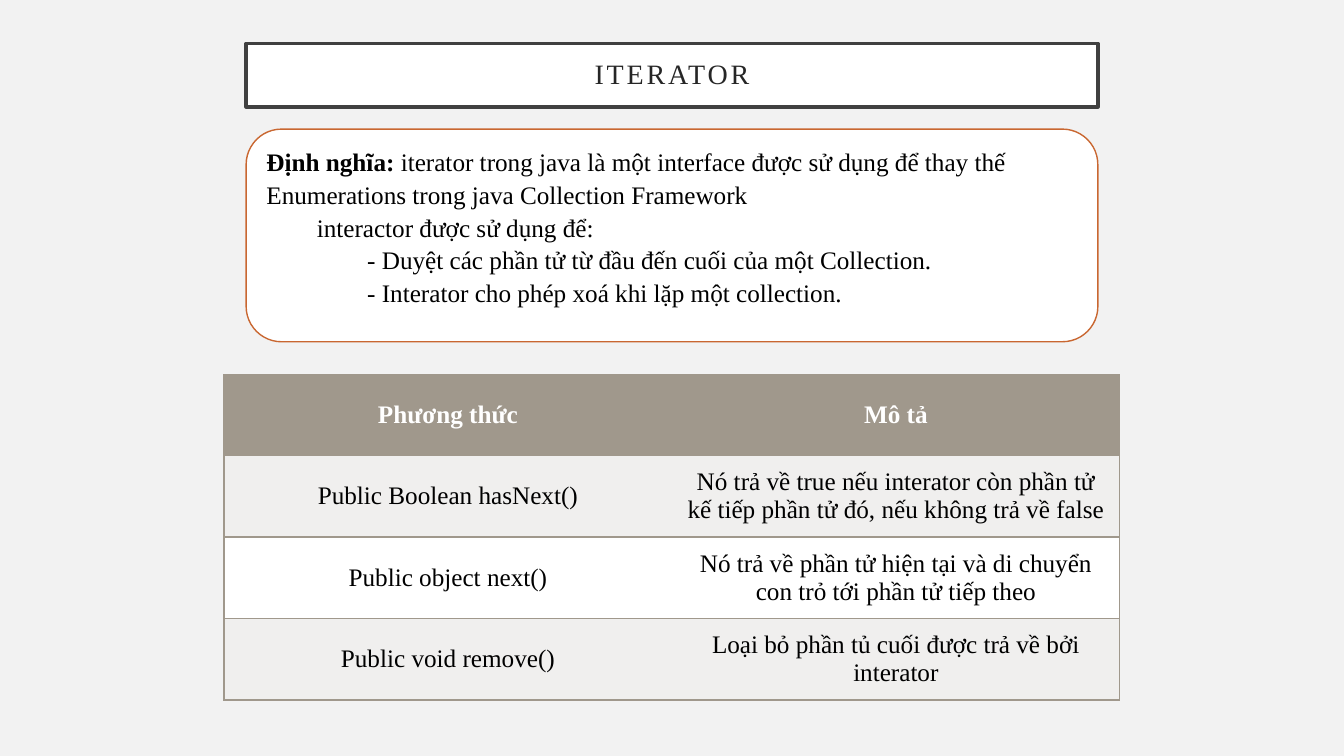
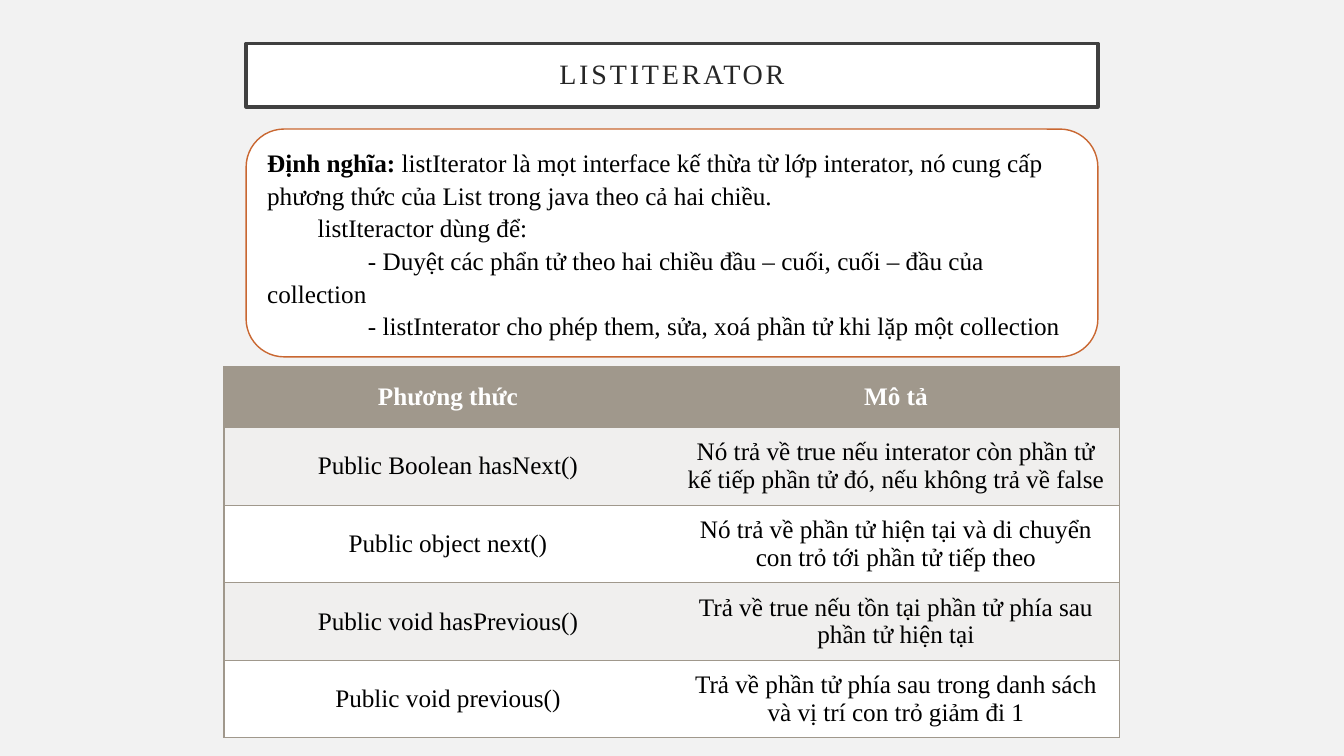
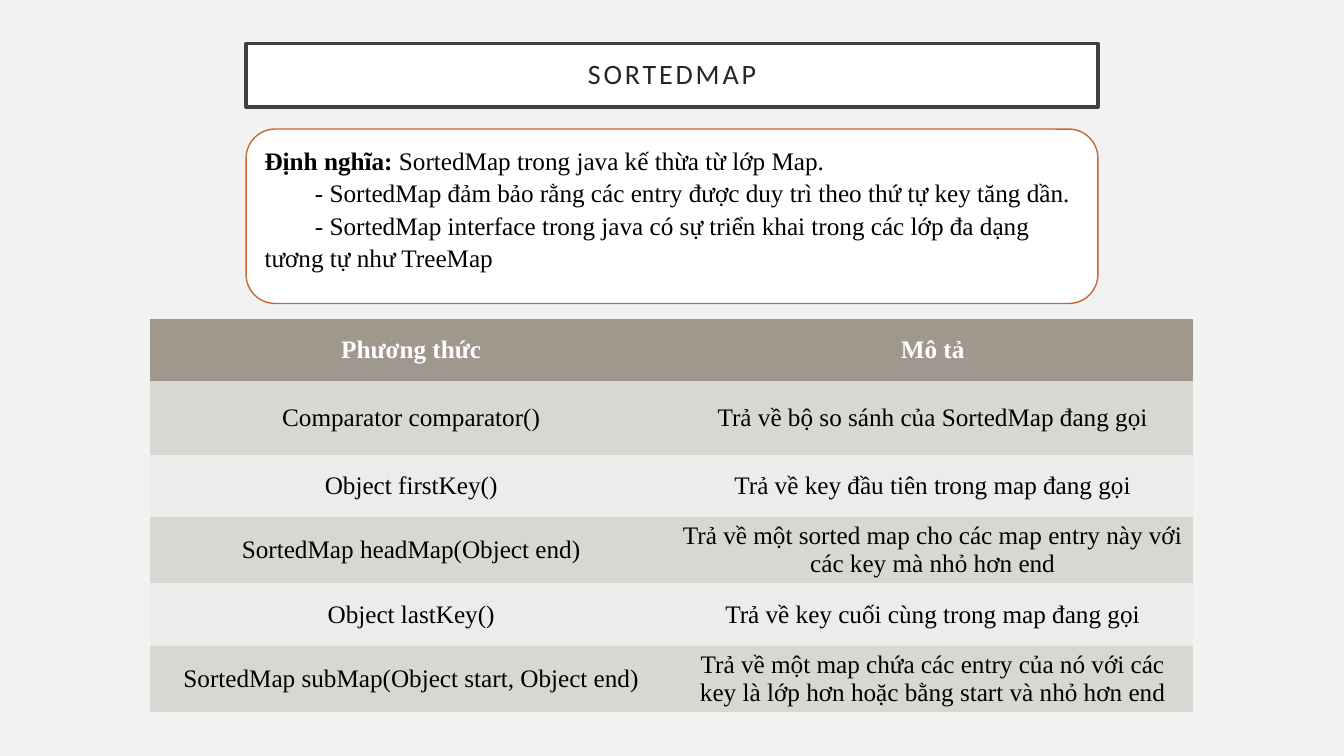
import pptx
import pptx.dml.color
import pptx.enum.shapes
import pptx.enum.text
import pptx.oxml
import pptx.oxml.ns
import pptx.util

Pt = pptx.util.Pt
Shape = pptx.enum.shapes.MSO_SHAPE
Align = pptx.enum.text.PP_ALIGN
Anchor = pptx.enum.text.MSO_ANCHOR

COLORS = {
    "background": "F2F2F2",
    "white": "FFFFFF",
    "black": "000000",
    "title": "262626",
    "frame": "404040",
    "accent": "C96731",
    "header": "A0988C",
    "pale": "F0EFEE",
    "dark band": "D9D7D2",
    "light band": "EDECEA",
}
SERIF = "Times New Roman"
PAGE_WIDTH, PAGE_HEIGHT = 960, 540
BOX_WIDTH = 608.4
INDENT = 36
HEADINGS = ("Phương thức", "Mô tả")


def color(name):
    return pptx.dml.color.RGBColor.from_string(COLORS[name])


class Builder:
    def __init__(self):
        self.deck = pptx.Presentation()
        self.deck.slide_width = Pt(PAGE_WIDTH)
        self.deck.slide_height = Pt(PAGE_HEIGHT)
        self.page = None

    def add_page(self):
        self.page = self.deck.slides.add_slide(self.deck.slide_layouts[6])
        self.page.background.fill.solid()
        self.page.background.fill.fore_color.rgb = color("background")

    def add_span(self, para, text, ink="black", size=18, bold=False, font=SERIF):
        span = para.add_run()
        span.text = text
        span.font.name = font
        span.font.size = Pt(size)
        span.font.bold = bold
        span.font.color.rgb = color(ink)
        return span

    def add_box(self, kind, top, height, line, weight):
        left = (PAGE_WIDTH - BOX_WIDTH) / 2
        box = self.page.shapes.add_shape(kind, Pt(left), Pt(top), Pt(BOX_WIDTH), Pt(height))
        box.shadow.inherit = False
        box.fill.solid()
        box.fill.fore_color.rgb = color("white")
        box.line.color.rgb = color(line)
        box.line.width = Pt(weight)
        box.text_frame.word_wrap = True
        return box

    def add_title(self, text, font):
        frame = self.add_box(Shape.RECTANGLE, 31, 45.4, "frame", 2.5).text_frame
        frame.vertical_anchor = Anchor.MIDDLE
        frame.margin_left = frame.margin_right = Pt(14.4)
        frame.margin_top = frame.margin_bottom = Pt(14.4)
        para = frame.paragraphs[0]
        para.alignment = Align.CENTER
        para.line_spacing = 0.9
        span = self.add_span(para, text, "title", 20, font=font)
        span.font._element.set("spc", "200")

    def add_definition(self, height, definition, items):
        frame = self.add_box(Shape.ROUNDED_RECTANGLE, 92.2, height, "accent", 1).text_frame
        frame.vertical_anchor = Anchor.TOP
        for level, text in [(0, definition)] + items:
            para = frame.add_paragraph() if level else frame.paragraphs[0]
            para.alignment = Align.LEFT
            para.line_spacing = 1.08
            para._p.get_or_add_pPr().set("indent", str(Pt(INDENT * level)))
            if level == 0:
                self.add_span(para, "Định nghĩa:", bold=True)
                text = " " + text
            self.add_span(para, text)

    def set_borders(self, cell, visible):
        properties = cell._tc.get_or_add_tcPr()
        for side in "LRTB":
            fill = "<a:noFill/>"
            if side in visible:
                fill = f'<a:solidFill><a:srgbClr val="{COLORS["header"]}"/></a:solidFill>'
            properties.append(pptx.oxml.parse_xml(
                f'<a:ln{side} {pptx.oxml.ns.nsdecls("a")} w="{Pt(1)}">{fill}</a:ln{side}>'))

    def add_table(self, top, width, heights, rows, bands, bordered):
        left = (PAGE_WIDTH - width) / 2
        table = self.page.shapes.add_table(
            len(heights), 2, Pt(left), Pt(top), Pt(width), Pt(sum(heights))).table
        for column in table.columns:
            column.width = Pt(width / 2)
        for index, (height, texts) in enumerate(zip(heights, [HEADINGS] + rows)):
            table.rows[index].height = Pt(height)
            is_header = index == 0
            band = "header" if is_header else bands[(index - 1) % 2]
            for cell, text, outer in zip(table.rows[index].cells, texts, "LR"):
                self.set_borders(cell, "TB" + outer if bordered else "")
                cell.fill.solid()
                cell.fill.fore_color.rgb = color(band)
                cell.vertical_anchor = Anchor.MIDDLE
                para = cell.text_frame.paragraphs[0]
                para.alignment = Align.CENTER
                self.add_span(para, text, "white" if is_header else "black", bold=is_header)


ITERATOR_ROWS = [
    ("Public Boolean hasNext()",
     "Nó trả về true nếu interator còn phần tử kế tiếp phần tử đó, nếu không trả về false"),
    ("Public object next()",
     "Nó trả về phần tử hiện tại và di chuyển con trỏ tới phần tử tiếp theo"),
]
OUTLINED = {"width": 640, "bands": ("pale", "white"), "bordered": True}
BANDED = {"width": 745, "bands": ("dark band", "light band"), "bordered": False}

PAGES = [
    {
        "title": ("ITERATOR", SERIF),
        "definition": (
            151.9,
            "iterator trong java là một interface được sử dụng để thay thế "
            "Enumerations trong java Collection Framework",
            [
                (1, "interactor được sử dụng để:"),
                (2, "- Duyệt các phần tử từ đầu đến cuối của một Collection."),
                (2, "- Interator cho phép xoá khi lặp một collection."),
            ],
        ),
        "table": {
            "top": 267.8,
            "heights": [57.6] + [58.2] * 3,
            "rows": ITERATOR_ROWS + [
                ("Public void remove()", "Loại bỏ phần tủ cuối được trả về bởi interator"),
            ],
            **OUTLINED,
        },
    },
    {
        "title": ("LISTITERATOR", SERIF),
        "definition": (
            162.7,
            "listIterator là mọt interface kế thừa từ lớp interator, nó cung cấp "
            "phương thức của List trong java theo cả hai chiều.",
            [
                (1, "listIteractor dùng để:"),
                (2, "- Duyệt các phẩn tử theo hai chiều đầu – cuối, cuối – đầu của collection"),
                (2, "- listInterator cho phép them, sửa, xoá phần tử khi lặp một collection"),
            ],
        ),
        "table": {
            "top": 262,
            "heights": [43.4] + [55.4] * 4,
            "rows": ITERATOR_ROWS + [
                ("Public void hasPrevious()",
                 "Trả về true nếu tồn tại phần tử phía sau phần tử hiện tại"),
                ("Public void previous()",
                 "Trả về phần tử phía sau trong danh sách và vị trí con trỏ giảm đi 1"),
            ],
            **OUTLINED,
        },
    },
    {
        "title": ("SORTEDMAP", "Calibri"),
        "definition": (
            124.6,
            "SortedMap trong java kế thừa từ lớp Map.",
            [
                (1, "- SortedMap đảm bảo rằng các entry được duy trì theo thứ tự key tăng dần."),
                (1, "- SortedMap interface trong java có sự triển khai trong các lớp đa dạng "
                    "tương tự như TreeMap"),
            ],
        ),
        "table": {
            "top": 227.5,
            "heights": [44.6, 52.9] + [44.6] * 4,
            "rows": [
                ("Comparator comparator()", "Trả về bộ so sánh của SortedMap đang gọi"),
                ("Object firstKey()", "Trả về key đầu tiên trong map đang gọi"),
                ("SortedMap headMap(Object end)",
                 "Trả về một sorted map cho các map entry này với các key mà nhỏ hơn end"),
                ("Object lastKey()", "Trả về key cuối cùng trong map đang gọi"),
                ("SortedMap subMap(Object start, Object end)",
                 "Trả về một map chứa các entry của nó với các key là lớp hơn "
                 "hoặc bằng start và nhỏ hơn end"),
            ],
            **BANDED,
        },
    },
]


def main():
    builder = Builder()
    for content in PAGES:
        builder.add_page()
        builder.add_title(*content["title"])
        builder.add_definition(*content["definition"])
        builder.add_table(**content["table"])
    builder.deck.save("out.pptx")


if __name__ == "__main__":
    main()
